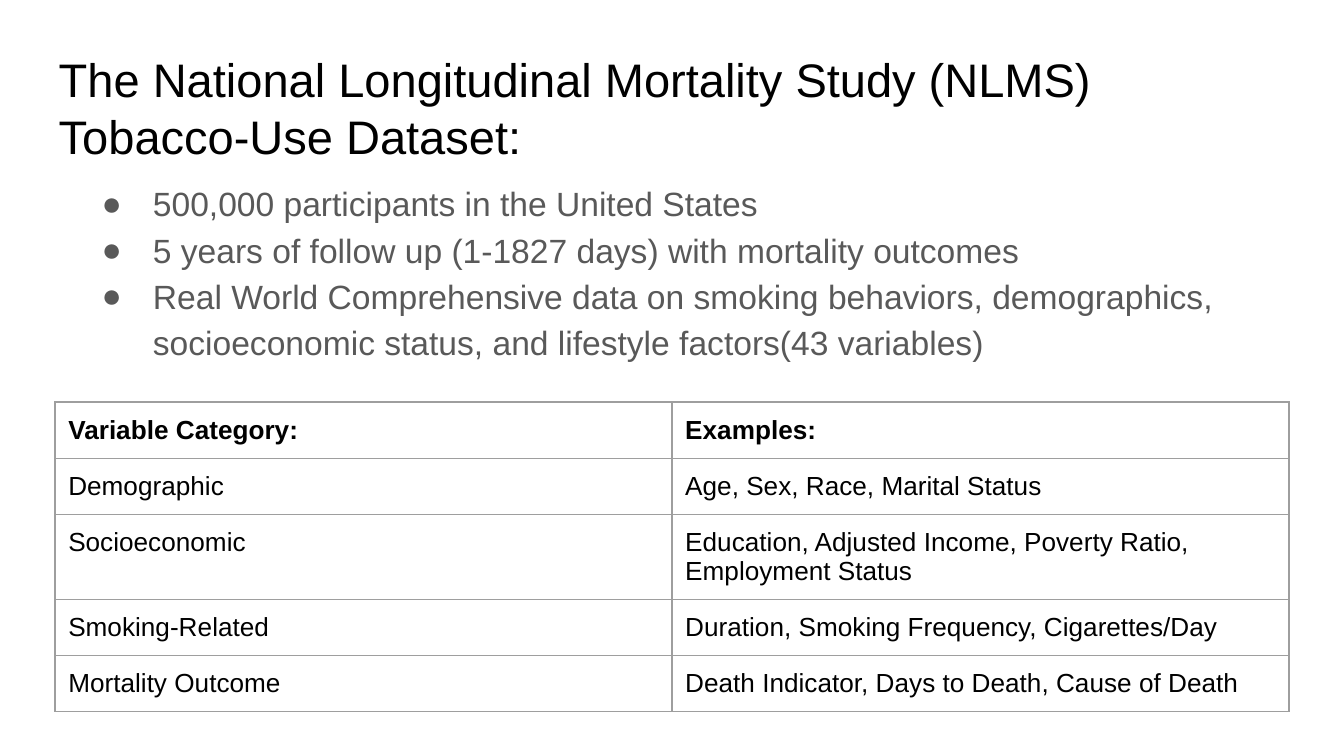
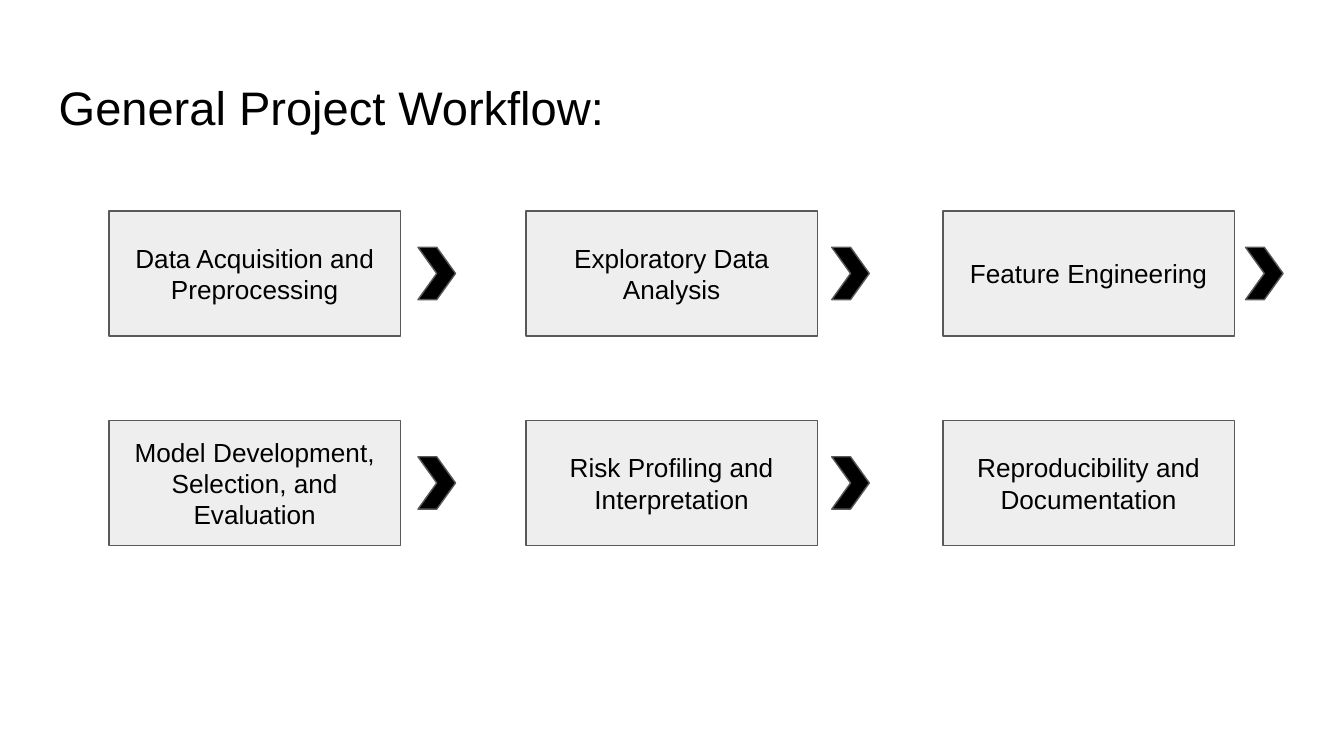
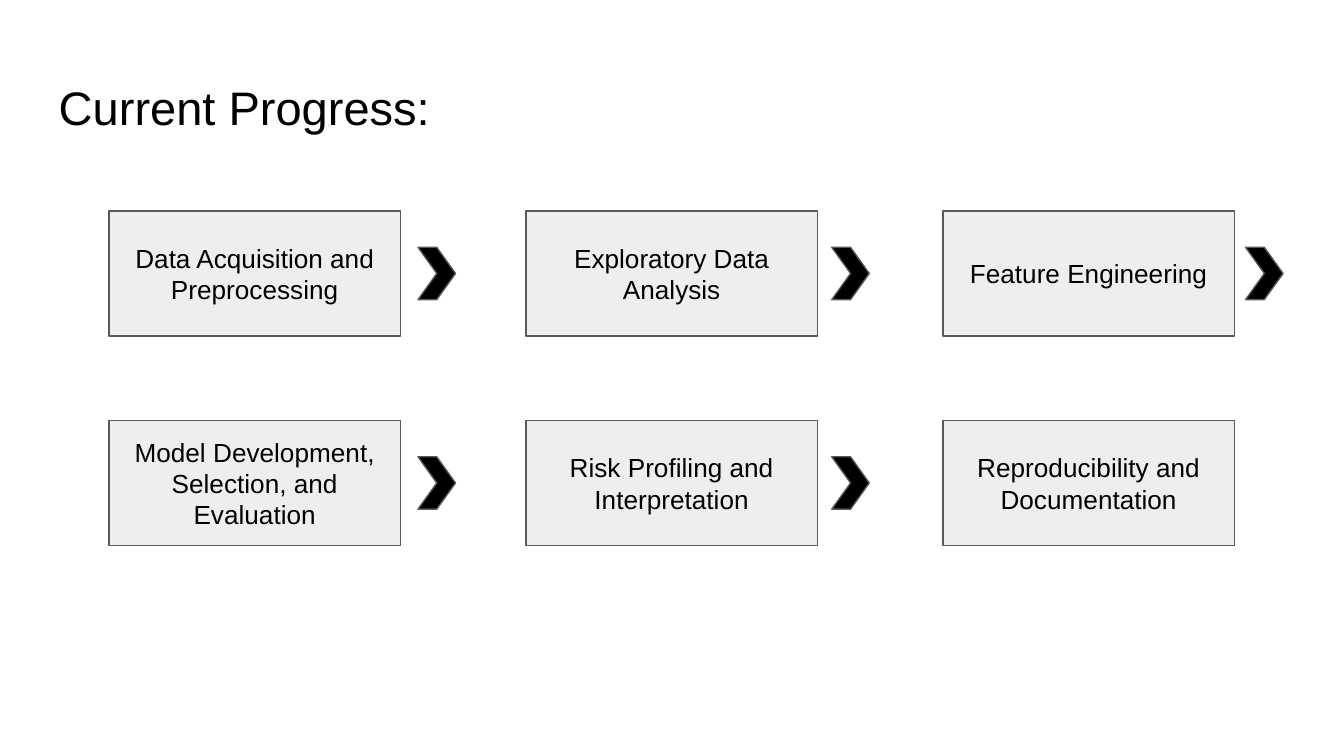
from lxml import etree
from pptx import Presentation
from pptx.dml.color import RGBColor
from pptx.enum import shapes as sh, text as tx
from pptx.oxml.ns import qn
from pptx.util import Cm, Pt

HUES = {"ink": "000000", "gray": "595959", "box": "EEEEEE", "rule": "9E9E9E"}
FACE = "Arial"
PAD = Cm(0.25)
THIN = Pt(0.75)

STUDY = "The National Longitudinal Mortality Study (NLMS) Tobacco-Use Dataset:"
FACTS = [
    "500,000 participants in the United States",
    "5 years of follow up (1-1827 days) with mortality outcomes",
    "Real World Comprehensive data on smoking behaviors, demographics, "
    "socioeconomic status, and lifestyle factors(43 variables)",
]
GROUPS = [
    ("Variable Category:", "Examples:"),
    ("Demographic", "Age, Sex, Race, Marital Status"),
    ("Socioeconomic", "Education, Adjusted Income, Poverty Ratio, Employment Status"),
    ("Smoking-Related", "Duration, Smoking Frequency, Cigarettes/Day"),
    ("Mortality Outcome", "Death Indicator, Days to Death, Cause of Death"),
]
FLOWS = ["General Project Workflow:", "Current Progress:"]
STEPS = [
    "Data Acquisition and Preprocessing",
    "Exploratory Data Analysis",
    "Feature Engineering",
    "Model Development, Selection, and Evaluation",
    "Risk Profiling and Interpretation",
    "Reproducibility and Documentation",
]


def hue(name):
    return RGBColor.from_string(HUES[name])


def style(par, size, name="ink", bold=False):
    font = par.font
    font.name, font.size, font.bold = FACE, Pt(size), bold
    font.color.rgb = hue(name)


def place(item, left, top, wide, high):
    item.left, item.top, item.width, item.height = map(Cm, (left, top, wide, high))


def frame(box, anchor):
    """Set the insets, wrapping and anchor of a text frame."""
    box.margin_left = box.margin_right = box.margin_top = box.margin_bottom = PAD
    box.word_wrap = True
    box.auto_size = tx.MSO_AUTO_SIZE.NONE
    box.vertical_anchor = anchor


def start(deck, layout, title, top):
    """Add a slide with its title."""
    slide = deck.slides.add_slide(deck.slide_layouts[layout])
    head = slide.shapes.title
    place(head, 0.86, top, 23.67, 1.6)
    head.text_frame.text = title
    frame(head.text_frame, tx.MSO_ANCHOR.TOP)
    par = head.text_frame.paragraphs[0]
    par.alignment = tx.PP_ALIGN.LEFT
    style(par, 25.2)
    return slide


def list_facts(body):
    place(body, 1.37, 3.1, 23.67, 9.5)
    body.text_frame.text = "\n".join(FACTS)
    frame(body.text_frame, tx.MSO_ANCHOR.TOP)
    for par in body.text_frame.paragraphs:
        props = par._p.get_or_add_pPr()
        props.set("marL", str(Cm(1.27)))
        props.set("indent", str(Cm(-0.97)))
        etree.SubElement(props, qn("a:buChar"), char="●")
        par.line_spacing = 1.15
        par.space_before = Pt(0)
        style(par, 18, "gray")


def rule(cell):
    """Draw all four borders of a cell."""
    props = cell._tc.get_or_add_tcPr()
    for spot, side in enumerate(("lnL", "lnR", "lnT", "lnB")):
        line = etree.Element(qn(f"a:{side}"), w=str(THIN))
        fill = etree.SubElement(line, qn("a:solidFill"))
        etree.SubElement(fill, qn("a:srgbClr"), val=HUES["rule"])
        props.insert(spot, line)


def add_groups(slide):
    rows, cols = len(GROUPS), len(GROUPS[0])
    table = slide.shapes.add_table(
        rows, cols, Cm(1.04), Cm(7.6), Cm(23.32), Cm(1.06 * rows)).table
    table.first_row = table.horz_banding = False
    for r, group in enumerate(GROUPS):
        for c, words in enumerate(group):
            cell = table.cell(r, c)
            cell.text = words
            cell.fill.background()
            cell.margin_left = cell.margin_right = PAD
            cell.margin_top = cell.margin_bottom = PAD
            style(cell.text_frame.paragraphs[0], 14, bold=r == 0)
            rule(cell)


def add_form(slide, kind, spot, fill):
    form = slide.shapes.add_shape(kind, *map(Cm, spot))
    form.shadow.inherit = False
    form.fill.solid()
    form.fill.fore_color.rgb = hue(fill)
    form.line.color.rgb = hue("gray")
    form.line.width = THIN
    return form


def add_flow(slide):
    wide, high, tip = 5.51, 2.36, 0.99
    for i, step in enumerate(STEPS):
        row, col = divmod(i, 3)
        top = 3.99 + 3.96 * row
        box = add_form(slide, sh.MSO_SHAPE.RECTANGLE,
                       (2.06 + 7.88 * col, top, wide, high), "box")
        box.text_frame.text = step
        frame(box.text_frame, tx.MSO_ANCHOR.MIDDLE)
        par = box.text_frame.paragraphs[0]
        par.alignment = tx.PP_ALIGN.CENTER
        style(par, 14)
        if i < len(STEPS) - 1:
            add_form(slide, sh.MSO_SHAPE.CHEVRON,
                     (7.9 + 7.82 * col, top + (high - tip) / 2, 0.71, tip), "ink")


def main():
    deck = Presentation()
    deck.slide_width, deck.slide_height = Cm(25.4), Cm(14.29)
    slide = start(deck, 1, STUDY, 0.71)
    list_facts(slide.placeholders[1])
    add_groups(slide)
    for title in FLOWS:
        add_flow(start(deck, 5, title, 1.24))
    deck.save("out.pptx")


if __name__ == "__main__":
    main()
